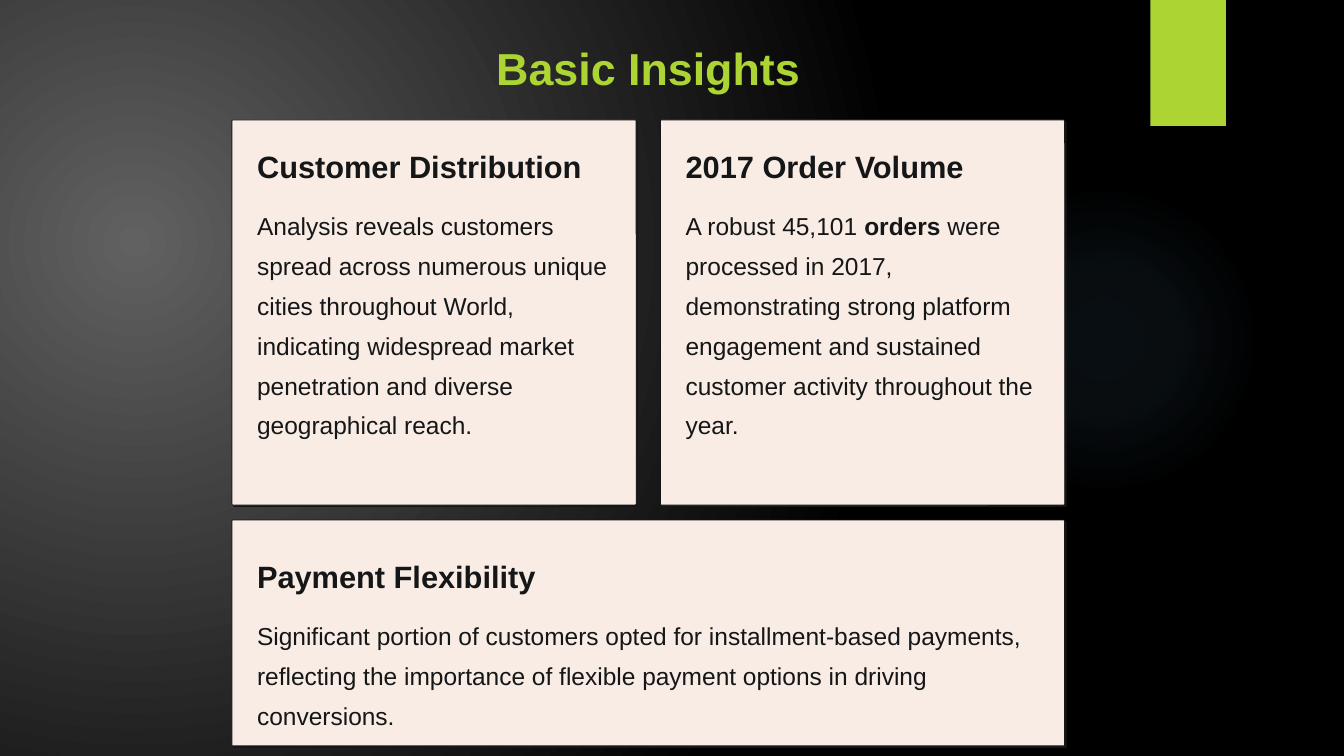
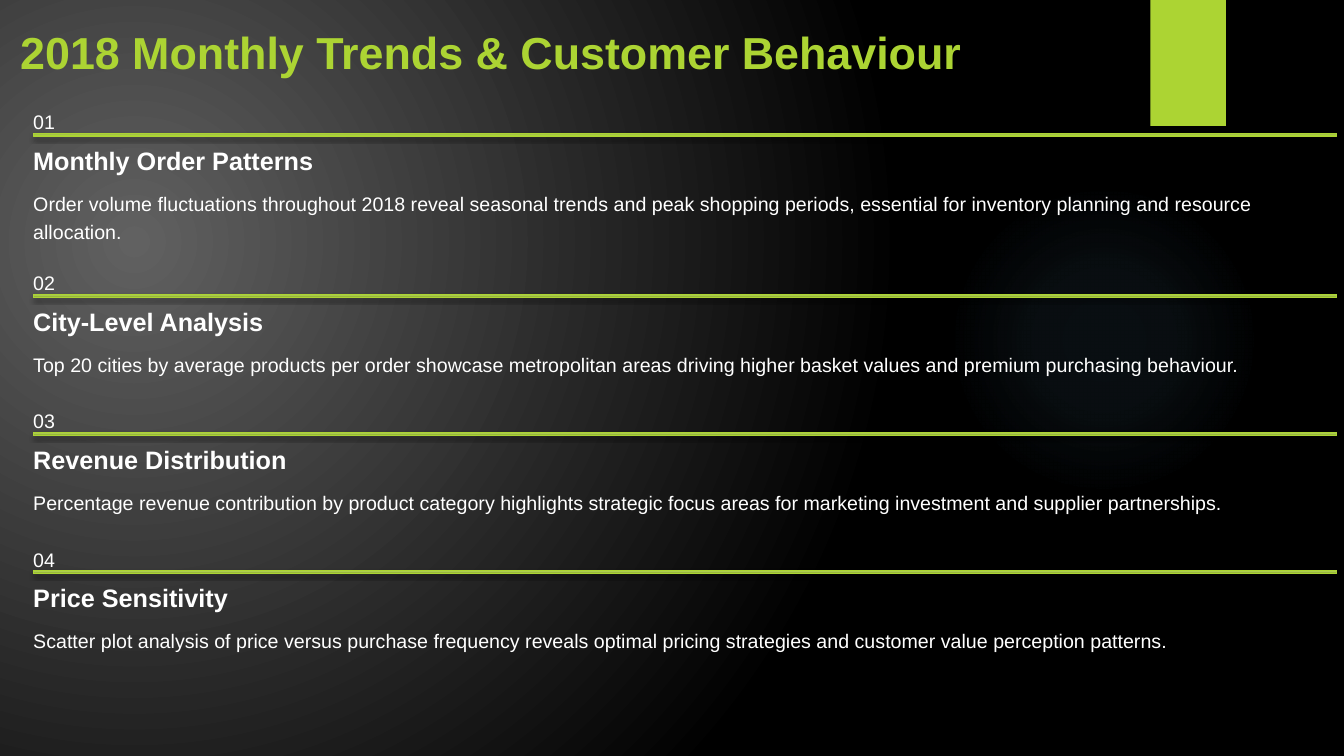
from lxml import etree
from pptx import Presentation
from pptx import util as u
from pptx.dml.color import RGBColor
from pptx.enum import shapes, text
from pptx.oxml.ns import nsdecls, qn

COLORS = {
    "lime": "ACD433", "lime_light": "BCDC62", "lime_dark": "8AAA29",
    "cream": "F8ECE4", "ink": "151617", "white": "FFFFFF",
    "gray": "616161", "black": "000000", "glow": "7AC4F0",
}
FONT = "Arial"
WIDTH, HEIGHT = 13.33, 7.5

# Card grid: two equal columns
GRID_LEFT, COLUMN, GUTTER = 2.3, 4.01, 0.24
CARD_PADDING = 0.25

# Numbered sections, stacked down the slide
SECTION_LEFT, SECTION_WIDTH = 0.33, 12.93
SECTION_STEP, EXTRA_LINE = 1.37, 0.23

# Shadow settings: colour, opacity %, blur pt, distance pt, angle
SOFT_SHADOW = ("black", 45, 3, 2, 90)
CARD_SHADOW = ("ink", 100, 0, 1.6, 45)

# Text styles: size, colour, bold, line spacing in points
TITLE = (32, "lime", True, 40)
TALL_TITLE = (32, "lime", True, 55.5)
CARD_HEADING = (22, "ink", True, 27.5)
CARD_BODY = (17.5, "ink", False, 28.5)
SECTION_HEADING = (18, "white", True, 20)
SECTION_BODY = (14, "white", False, 20.5)


def rgb(name):
    return RGBColor.from_string(COLORS[name])


def set_gradient(properties, stops, direction):
    """Replace the empty fill of an element by a gradient of (%, colour, opacity %)."""
    marks = "".join(
        f'<a:gs pos="{position * 1000}"><a:srgbClr val="{COLORS[color]}">'
        f'<a:alpha val="{opacity * 1000}"/></a:srgbClr></a:gs>'
        for position, color, opacity in stops)
    gradient = etree.fromstring(
        f'<a:gradFill {nsdecls("a")} rotWithShape="1">'
        f'<a:gsLst>{marks}</a:gsLst>{direction}</a:gradFill>')
    properties.replace(properties.find(qn("a:noFill")), gradient)


def circle_path(left, top, right, bottom):
    return (f'<a:path path="circle"><a:fillToRect l="{left * 1000}" t="{top * 1000}" '
            f'r="{right * 1000}" b="{bottom * 1000}"/></a:path>')


def set_shadow(shape, color, opacity, blur, distance, angle):
    shape.shadow.inherit = False
    effects = shape.element.spPr.find(qn("a:effectLst"))
    effects.append(etree.fromstring(
        f'<a:outerShdw {nsdecls("a")} blurRad="{u.Pt(blur)}" dist="{u.Pt(distance)}" '
        f'dir="{angle * 60000}" algn="ctr" rotWithShape="0">'
        f'<a:srgbClr val="{COLORS[color]}"><a:alpha val="{opacity * 1000}"/>'
        f'</a:srgbClr></a:outerShdw>'))


def add_panel(slide, kind, box, fill=None, line=None, line_width=0.75, shadow=None):
    shape = slide.shapes.add_shape(kind, *map(u.Inches, box))
    if fill:
        shape.fill.solid()
        shape.fill.fore_color.rgb = rgb(fill)
    else:
        shape.fill.background()
    if line:
        shape.line.color.rgb = rgb(line)
        shape.line.width = u.Pt(line_width)
    else:
        shape.line.fill.background()
    shape.shadow.inherit = False
    if shadow:
        set_shadow(shape, *shadow)
    return shape


def write_text(shape, runs, style, align=text.PP_ALIGN.LEFT):
    """Fill one paragraph; runs are (words, bold) pairs or a plain string."""
    size, color, bold, spacing = style
    frame = shape.text_frame
    frame.word_wrap = True
    frame.auto_size = text.MSO_AUTO_SIZE.NONE
    frame.vertical_anchor = text.MSO_ANCHOR.TOP
    frame.margin_left = frame.margin_right = frame.margin_top = frame.margin_bottom = 0
    paragraph = frame.paragraphs[0]
    paragraph.alignment = align
    paragraph.line_spacing = u.Pt(spacing)
    for words, run_bold in [(runs, bold)] if isinstance(runs, str) else runs:
        run = paragraph.add_run()
        run.text = words
        run.font.name = FONT
        run.font.size = u.Pt(size)
        run.font.bold = run_bold
        run.font.color.rgb = rgb(color)


def add_text(slide, box, runs, style):
    write_text(slide.shapes.add_textbox(*map(u.Inches, box)), runs, style)


def add_title_slide(presentation, title, box, style, align):
    slide = presentation.slides.add_slide(presentation.slide_layouts[5])
    shape = slide.shapes.title
    shape.left, shape.top, shape.width, shape.height = map(u.Inches, box)
    write_text(shape, title, style, align)
    return slide


def style_master(presentation, slide):
    """Give the master its background, glow and tab, drawn first on a slide."""
    master = presentation.slide_master
    master.background.fill.background()
    set_gradient(master.element.find(".//" + qn("p:bgPr")),
                 [(0, "gray", 100), (100, "black", 100)],
                 circle_path(45, 65, 125, 100))
    glow = add_panel(slide, shapes.MSO_SHAPE.OVAL, (9.41, 1.83, 3.08, 3.08))
    set_gradient(glow.element.spPr,
                 [(0, "glow", 7), (36, "glow", 6), (69, "glow", 0)],
                 circle_path(50, 50, 50, 50))
    tab = add_panel(slide, shapes.MSO_SHAPE.RECTANGLE, (11.41, 0, 0.75, HEIGHT / 6),
                    fill="lime", shadow=SOFT_SHADOW)
    for number, shape in enumerate((glow, tab), start=101):
        shape.element.find(".//" + qn("p:cNvPr")).set("id", str(number))
        master.shapes.element.append(shape.element)


def add_card(slide, column, span, top, height, heading_offset, heading, body):
    left = GRID_LEFT + column * (COLUMN + GUTTER)
    width = span * COLUMN + (span - 1) * GUTTER
    card = add_panel(slide, shapes.MSO_SHAPE.ROUNDED_RECTANGLE, (left, top, width, height),
                     "cream", "ink", 0.6, CARD_SHADOW)
    card.adjustments[0] = 0.003
    text_left, text_width = left + CARD_PADDING, width - 2 * CARD_PADDING
    heading_top = top + heading_offset
    body_top = heading_top + 0.54
    add_text(slide, (text_left, heading_top, text_width, 0.39), heading, CARD_HEADING)
    add_text(slide, (text_left, body_top, text_width, top + height - body_top - 0.16),
             body, CARD_BODY)


def add_section(slide, top, number, heading, body):
    def row(offset, height):
        return SECTION_LEFT, top + offset, SECTION_WIDTH, height

    add_text(slide, row(0, 0.22), number, SECTION_BODY)
    rule = add_panel(slide, shapes.MSO_SHAPE.RECTANGLE, row(0.28, 0.03),
                     line="lime", shadow=SOFT_SHADOW)
    set_gradient(rule.element.spPr, [(0, "lime_light", 100), (100, "lime_dark", 100)],
                 '<a:lin ang="5400000" scaled="0"/>')
    add_text(slide, row(0.42, 0.28), heading, SECTION_HEADING)
    add_text(slide, row(0.81, 0.58), body, SECTION_BODY)


def build_insights(presentation):
    slide = add_title_slide(presentation, "Basic Insights", (3.33, 0.17, 6.2, 0.78),
                            TALL_TITLE, text.PP_ALIGN.CENTER)
    style_master(presentation, slide)
    add_card(slide, 0, 1, 1.19, 3.82, 0.26, "Customer Distribution",
             "Analysis reveals customers spread across numerous unique cities throughout "
             "World, indicating widespread market penetration and diverse geographical reach.")
    add_card(slide, 1, 1, 1.19, 3.82, 0.26, "2017 Order Volume",
             [("A robust 45,101", False), (" orders", True),
              (" were processed in 2017, demonstrating strong platform engagement and "
               "sustained customer activity throughout the year.", False)])
    add_card(slide, 0, 2, 5.16, 2.24, 0.36, "Payment Flexibility",
             "Significant portion of customers opted for installment-based payments, "
             "reflecting the importance of flexible payment options in driving conversions.")


def build_trends(presentation):
    slide = add_title_slide(presentation, "2018 Monthly Trends & Customer Behaviour",
                            (0.2, 0.22, SECTION_WIDTH, 0.78), TITLE, text.PP_ALIGN.LEFT)
    # Heading, body, number of body lines
    sections = [
        ("Monthly Order Patterns",
         "Order volume fluctuations throughout 2018 reveal seasonal trends and peak shopping "
         "periods, essential for inventory planning and resource allocation.", 2),
        ("City-Level Analysis",
         "Top 20 cities by average products per order showcase metropolitan areas driving "
         "higher basket values and premium purchasing behaviour.", 1),
        ("Revenue Distribution",
         "Percentage revenue contribution by product category highlights strategic focus "
         "areas for marketing investment and supplier partnerships.", 1),
        ("Price Sensitivity",
         "Scatter plot analysis of price versus purchase frequency reveals optimal pricing "
         "strategies and customer value perception patterns.", 1),
    ]
    top = 1.04
    for number, (heading, body, lines) in enumerate(sections, start=1):
        add_section(slide, top, f"{number:02d}", heading, body)
        top += SECTION_STEP + (lines - 1) * EXTRA_LINE


def main():
    presentation = Presentation()
    presentation.slide_width = u.Inches(WIDTH)
    presentation.slide_height = u.Inches(HEIGHT)
    build_insights(presentation)
    build_trends(presentation)
    presentation.save("out.pptx")


if __name__ == "__main__":
    main()
